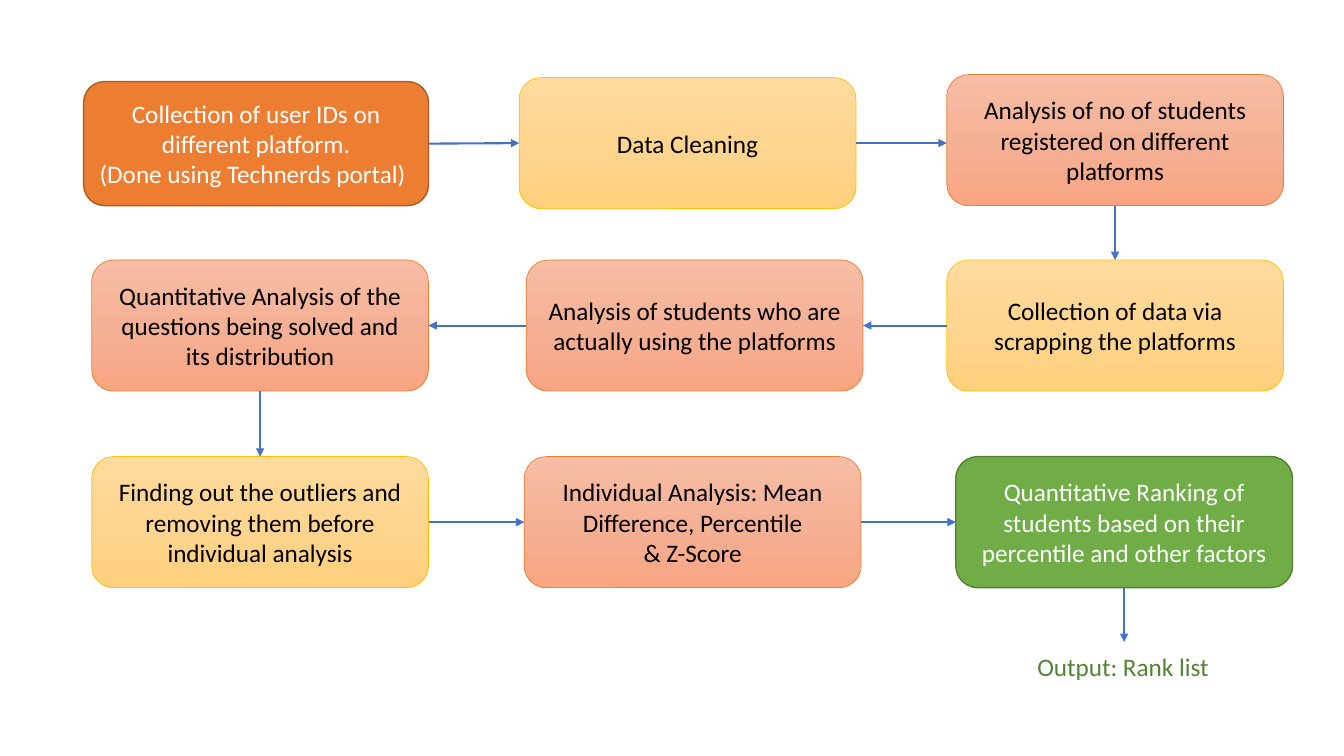
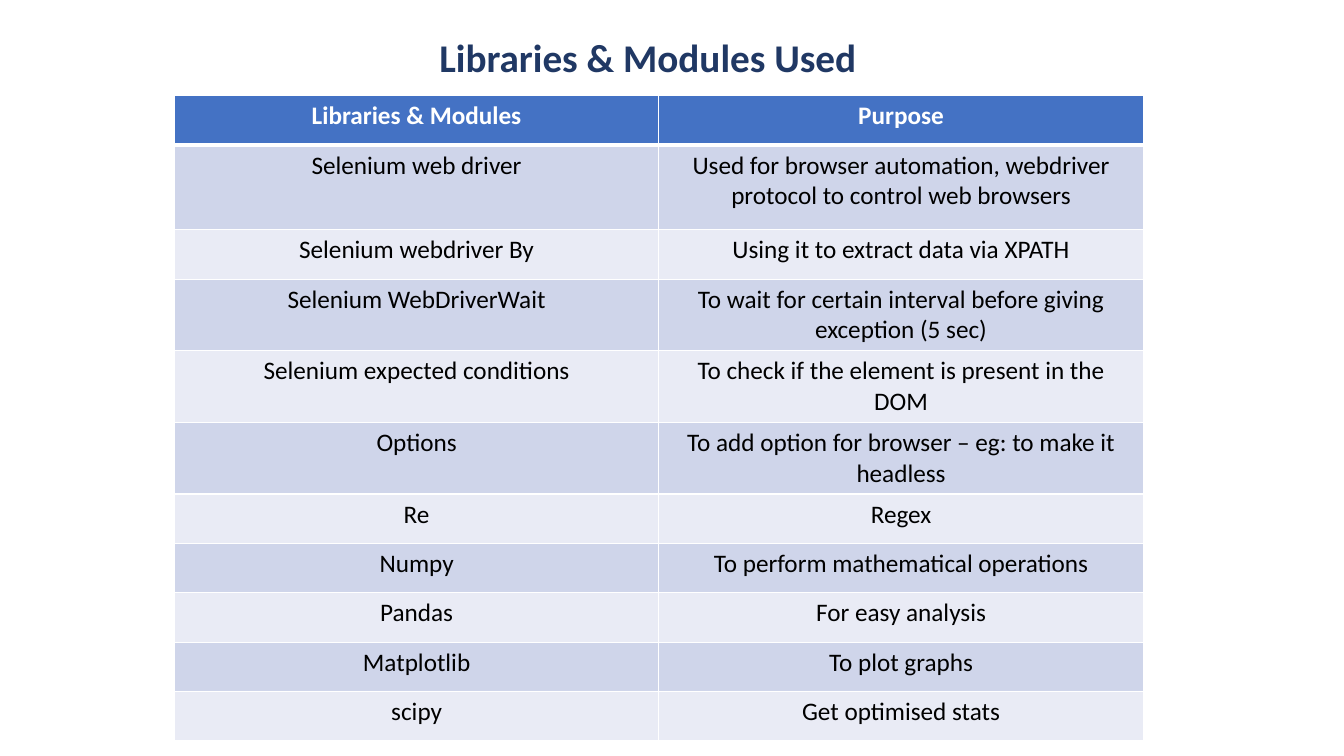
"""Build a two-slide deck: an analysis workflow and the libraries it uses."""
from copy import deepcopy

from pptx import Presentation
from pptx.dml.color import RGBColor
from pptx.enum.shapes import MSO_CONNECTOR as Connector, MSO_SHAPE as Shape
from pptx.enum.text import MSO_ANCHOR as Anchor, PP_ALIGN as Align
from pptx.oxml.ns import qn
from pptx.oxml.xmlchemy import OxmlElement
from pptx.util import Inches, Pt

FONT = "Calibri"
WHITE = RGBColor(0xFF, 0xFF, 0xFF)
BLACK = RGBColor(0x00, 0x00, 0x00)
NAVY = RGBColor(0x20, 0x38, 0x64)
BLUE = RGBColor(0x44, 0x72, 0xC4)
ORANGE = RGBColor(0xED, 0x7D, 0x31)
DARK_ORANGE = RGBColor(0xAF, 0x5C, 0x24)
GOLD = RGBColor(0xFF, 0xC0, 0x00)
GREEN = RGBColor(0x70, 0xAD, 0x47)
DARK_GREEN = RGBColor(0x53, 0x80, 0x35)
OUTPUT_GREEN = RGBColor(0x54, 0x82, 0x35)
BAND_DARK = RGBColor(0xCF, 0xD5, 0xEA)
BAND_LIGHT = RGBColor(0xE9, 0xEB, 0xF5)
GOLD_FADE = [RGBColor(0xFF, 0xDB, 0x9E), RGBColor(0xFF, 0xD5, 0x90), RGBColor(0xFF, 0xD0, 0x7C)]
PEACH_FADE = [RGBColor(0xF7, 0xBD, 0xA5), RGBColor(0xF5, 0xB1, 0x96), RGBColor(0xF8, 0xA5, 0x82)]

TOP, LEFT, BOTTOM, RIGHT = range(4)

START = ([ORANGE], DARK_ORANGE, 1, WHITE)
DATA = (GOLD_FADE, GOLD, 0.5, BLACK)
ANALYSIS = (PEACH_FADE, ORANGE, 0.5, BLACK)
RESULT = ([GREEN], DARK_GREEN, 1, WHITE)

STEP_W, STEP_H = 3.34, 1.3
ROW_2, ROW_3 = 2.58, 4.53

STEPS = [
    (0.83, 0.81, 3.42, 1.23, START,
     ["Collection of user IDs on different platform.", "(Done using Technerds portal)"]),
    (5.15, 0.77, STEP_W, STEP_H, DATA, ["Data Cleaning"]),
    (9.39, 0.74, STEP_W, STEP_H, ANALYSIS,
     ["Analysis of no of students registered on different platforms"]),
    (9.39, ROW_2, STEP_W, STEP_H, DATA, ["Collection of data via scrapping the platforms"]),
    (5.22, ROW_2, STEP_W, STEP_H, ANALYSIS,
     ["Analysis of students who are actually using the platforms"]),
    (0.91, ROW_2, STEP_W, STEP_H, ANALYSIS,
     ["Quantitative Analysis of the questions being solved and its distribution"]),
    (0.91, ROW_3, STEP_W, STEP_H, DATA,
     ["Finding out the outliers and removing them before individual analysis"]),
    (5.2, ROW_3, STEP_W, STEP_H, ANALYSIS,
     ["Individual Analysis: Mean Difference, Percentile", "& Z-Score"]),
    (9.48, ROW_3, STEP_W, STEP_H, RESULT,
     ["Quantitative Ranking of students based on their percentile and other factors"]),
]

ARROWS = [
    (0, RIGHT, 5.15, 1.42, LEFT),
    (1, RIGHT, 9.39, 1.42, None),
    (2, BOTTOM, 11.06, 2.58, TOP),
    (3, LEFT, 8.56, 3.23, RIGHT),
    (4, LEFT, 4.25, 3.23, RIGHT),
    (5, BOTTOM, 2.58, 4.53, TOP),
    (6, RIGHT, 5.2, 5.18, LEFT),
    (7, RIGHT, 9.48, 5.18, LEFT),
    (8, BOTTOM, 11.15, 6.37, None),
]

LIBRARIES = [
    ("Libraries & Modules", "Purpose"),
    ("Selenium web driver",
     "Used for browser automation, webdriver protocol to control web browsers"),
    ("Selenium webdriver By", "Using it to extract data via XPATH"),
    ("Selenium WebDriverWait", "To wait for certain interval before giving exception (5 sec)"),
    ("Selenium expected conditions", "To check if the element is present in the DOM"),
    ("Options", "To add option for browser – eg: to make it headless"),
    ("Re", "Regex"),
    ("Numpy", "To perform mathematical operations"),
    ("Pandas", "For easy analysis"),
    ("Matplotlib", "To plot graphs"),
    ("scipy", "Get optimised stats"),
]


def write(paragraph, text, color, align=Align.CENTER, size=18, bold=False):
    paragraph.alignment = align
    run = paragraph.add_run()
    run.text = text
    run.font.name = FONT
    run.font.size = Pt(size)
    run.font.bold = bold
    run.font.color.rgb = color


def add_border(cell, side, width):
    border = OxmlElement(f"a:{side}")
    border.set("w", str(Pt(width)))
    fill = OxmlElement("a:solidFill")
    color = OxmlElement("a:srgbClr")
    color.set("val", str(WHITE))
    fill.append(color)
    border.append(fill)
    cell._tc.get_or_add_tcPr().append(border)


deck = Presentation()
deck.slide_width = Inches(13.33)
deck.slide_height = Inches(7.5)

workflow = deck.slides.add_slide(deck.slide_layouts[6])
steps = []
for left, top, width, height, (fills, outline, weight, ink), lines in STEPS:
    step = workflow.shapes.add_shape(
        Shape.ROUNDED_RECTANGLE, Inches(left), Inches(top), Inches(width), Inches(height))
    step.shadow.inherit = False
    if len(fills) == 1:
        step.fill.solid()
        step.fill.fore_color.rgb = fills[0]
    else:
        step.fill.gradient()
        step.fill.gradient_angle = 270
        stop_list = step._element.spPr.find(qn("a:gradFill")).find(qn("a:gsLst"))
        stop_list.insert(1, deepcopy(stop_list[0]))
        for stop, position, color in zip(step.fill.gradient_stops, (0, 0.5, 1), fills):
            stop.position = position
            stop.color.rgb = color
    step.line.color.rgb = outline
    step.line.width = Pt(weight)
    frame = step.text_frame
    frame.word_wrap = True
    frame.vertical_anchor = Anchor.MIDDLE
    for index, line in enumerate(lines):
        paragraph = frame.add_paragraph() if index else frame.paragraphs[0]
        write(paragraph, line, ink)
    steps.append(step)
steps[0].text_frame.paragraphs[1].alignment = Align.LEFT

for source, side, tip_x, tip_y, target_side in ARROWS:
    tip = Inches(tip_x), Inches(tip_y)
    arrow = workflow.shapes.add_connector(Connector.STRAIGHT, *tip, *tip)
    arrow.begin_connect(steps[source], side)
    if target_side is not None:
        arrow.end_connect(steps[source + 1], target_side)
    arrow.line.color.rgb = BLUE
    arrow.line.width = Pt(1.5)
    head = OxmlElement("a:tailEnd")
    head.set("type", "triangle")
    arrow.line._get_or_add_ln().append(head)
    arrow._element.spPr.append(OxmlElement("a:effectLst"))

output = workflow.shapes.add_textbox(Inches(10.19), Inches(6.41), Inches(2.1), Inches(0.4))
output.text_frame.word_wrap = True
write(output.text_frame.paragraphs[0], "Output: Rank list", OUTPUT_GREEN, Align.LEFT)

toolkit = deck.slides.add_slide(deck.slide_layouts[5])
title = toolkit.shapes.title
title.left, title.top = Inches(0.46), Inches(0.28)
title.width, title.height = Inches(11.93), Inches(1.04)
title.text_frame.vertical_anchor = Anchor.TOP
write(title.text_frame.paragraphs[0], "Libraries & Modules Used", NAVY, size=28, bold=True)

table = toolkit.shapes.add_table(
    len(LIBRARIES), 2, Inches(1.73), Inches(0.95), Inches(9.61), Inches(5.39)).table
for row_index, entries in enumerate(LIBRARIES):
    is_header = row_index == 0
    table.rows[row_index].height = Inches(0.84 if row_index == 1 else 0.49)
    band = BLUE if is_header else BAND_DARK if row_index % 2 else BAND_LIGHT
    for column_index, entry in enumerate(entries):
        cell = table.cell(row_index, column_index)
        add_border(cell, "lnL", 1)
        add_border(cell, "lnR", 1)
        add_border(cell, "lnT", 3 if row_index == 1 else 1)
        add_border(cell, "lnB", 3 if is_header else 1)
        cell.fill.solid()
        cell.fill.fore_color.rgb = band
        write(cell.text_frame.paragraphs[0], entry, WHITE if is_header else BLACK, bold=is_header)

deck.save("out.pptx")
